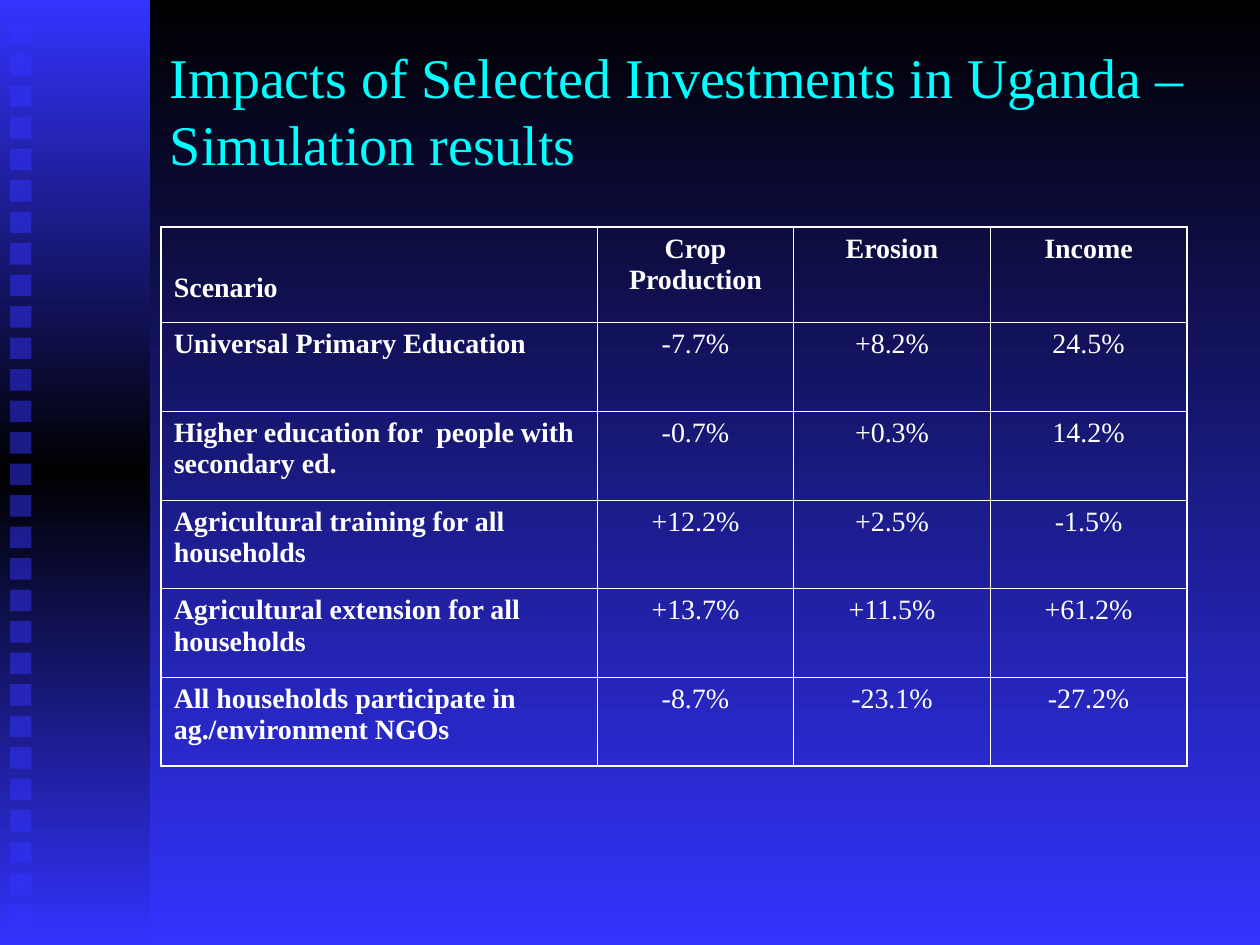
from dataclasses import dataclass

from lxml import etree
from pptx import Presentation
from pptx.dml.color import RGBColor
from pptx.enum.shapes import MSO_SHAPE as Shape
from pptx.enum.text import MSO_ANCHOR as Anchor, PP_ALIGN as Align
from pptx.oxml.ns import qn
from pptx.util import Inches, Pt


@dataclass(frozen=True)
class Theme:
    font: str = "Times New Roman"
    black: RGBColor = RGBColor(0x00, 0x00, 0x00)
    blue: RGBColor = RGBColor(0x33, 0x33, 0xFF)
    cyan: RGBColor = RGBColor(0x00, 0xFF, 0xFF)
    white: RGBColor = RGBColor(0xFF, 0xFF, 0xFF)
    title_size: float = 32
    table_size: float = 16
    inner_line: float = 0.45
    outer_line: float = 1.08


THEME = Theme()

TITLE = "Impacts of Selected Investments in Uganda – Simulation results"
RESULTS = [
    ("Scenario", "Crop Production", "Erosion", "Income"),
    ("Universal Primary Education", "-7.7%", "+8.2%", "24.5%"),
    ("Higher education for  people with secondary ed.", "-0.7%", "+0.3%", "14.2%"),
    ("Agricultural training for all households", "+12.2%", "+2.5%", "-1.5%"),
    ("Agricultural extension for all households", "+13.7%", "+11.5%", "+61.2%"),
    ("All households participate in ag./environment NGOs", "-8.7%", "-23.1%", "-27.2%"),
]


def set_all(target, values):
    for name, value in values.items():
        setattr(target, name, value)


def style_font(font, size, color, bold=False):
    set_all(font, {"name": THEME.font, "size": Pt(size), "bold": bold})
    font.color.rgb = color


def fill_gradient(fill, colors):
    """Fill from top to bottom with evenly spaced colours."""
    fill.gradient()
    fill.gradient_angle = 270
    stops = fill._fill._gradFill.find(qn("a:gsLst"))
    for stop in list(stops):
        stops.remove(stop)
    for index, color in enumerate(colors):
        position = round(100000 * index / (len(colors) - 1))
        stop = etree.SubElement(stops, qn("a:gs"), pos=str(position))
        etree.SubElement(stop, qn("a:srgbClr"), val=str(color))


def add_rectangle(slide, left, top, width, height):
    rectangle = slide.shapes.add_shape(
        Shape.RECTANGLE, Inches(left), Inches(top), Inches(width), Inches(height))
    rectangle.shadow.inherit = False
    rectangle.line.fill.background()
    return rectangle


def add_side_band(slide, left, top, width, height):
    band = add_rectangle(slide, left, top, width, height)
    fill_gradient(band.fill, (THEME.blue, THEME.black, THEME.blue))

    # Column of half-transparent squares
    count, pitch, side = 29, 0.25, 0.17
    for index in range(count):
        square = add_rectangle(
            slide, left + 0.08, top + 0.18 + index * pitch, side, side)
        square.fill.solid()
        square.fill.fore_color.rgb = THEME.blue
        color = square.fill._xPr.find(".//" + qn("a:srgbClr"))
        etree.SubElement(color, qn("a:alpha"), val="50000")


def add_title(slide, left, top, width, height):
    title = slide.shapes.add_textbox(
        Inches(left), Inches(top), Inches(width), Inches(height))
    set_all(title.text_frame, {
        "word_wrap": True, "vertical_anchor": Anchor.MIDDLE, "text": TITLE})
    style_font(title.text_frame.paragraphs[0].font, THEME.title_size, THEME.cyan)


def set_borders(cell, outer_sides):
    properties = cell._tc.get_or_add_tcPr()
    for index, side in enumerate(("lnL", "lnR", "lnT", "lnB")):
        points = THEME.outer_line if side in outer_sides else THEME.inner_line
        line = etree.Element(qn("a:" + side), w=str(Pt(points)))
        solid = etree.SubElement(line, qn("a:solidFill"))
        etree.SubElement(solid, qn("a:srgbClr"), val=str(THEME.white))
        properties.insert(index, line)


def add_results_table(slide, left, top, width, height):
    row_count, column_count = len(RESULTS), len(RESULTS[0])
    table = slide.shapes.add_table(
        row_count, column_count,
        Inches(left), Inches(top), Inches(width), Inches(height)).table
    set_all(table, {"first_row": False, "horz_banding": False})

    # Wide scenario column and slightly taller header row
    scenario_width, header_height = 3.46, 0.76
    value_width = (width - scenario_width) / (column_count - 1)
    result_height = (height - header_height) / (row_count - 1)
    for index, column in enumerate(table.columns):
        column.width = Inches(value_width if index else scenario_width)
    for index, row in enumerate(table.rows):
        row.height = Inches(result_height if index else header_height)

    for r, texts in enumerate(RESULTS):
        for c, text in enumerate(texts):
            cell = table.cell(r, c)
            cell.text = text
            cell.fill.background()
            paragraph = cell.text_frame.paragraphs[0]
            paragraph.alignment = Align.CENTER if c else Align.LEFT
            style_font(paragraph.font, THEME.table_size, THEME.white,
                       bold=r == 0 or c == 0)
            edges = {"lnL": c == 0, "lnR": c == column_count - 1,
                     "lnT": r == 0, "lnB": r == row_count - 1}
            set_borders(cell, [side for side, outer in edges.items() if outer])

    # The corner heading sits low in its cell
    set_all(table.cell(0, 0), {
        "vertical_anchor": Anchor.BOTTOM, "margin_bottom": Inches(0.15)})


def main():
    presentation = Presentation()
    set_all(presentation, {"slide_width": Inches(10), "slide_height": Inches(7.5)})
    slide = presentation.slides.add_slide(presentation.slide_layouts[6])
    fill_gradient(slide.background.fill, (THEME.black, THEME.blue))
    add_side_band(slide, 0, 0, 1.19, 7.5)
    add_title(slide, 1.25, 0.33, 8.75, 1.08)
    add_results_table(slide, 1.28, 1.8, 8.14, 4.28)
    presentation.save("out.pptx")


if __name__ == "__main__":
    main()
